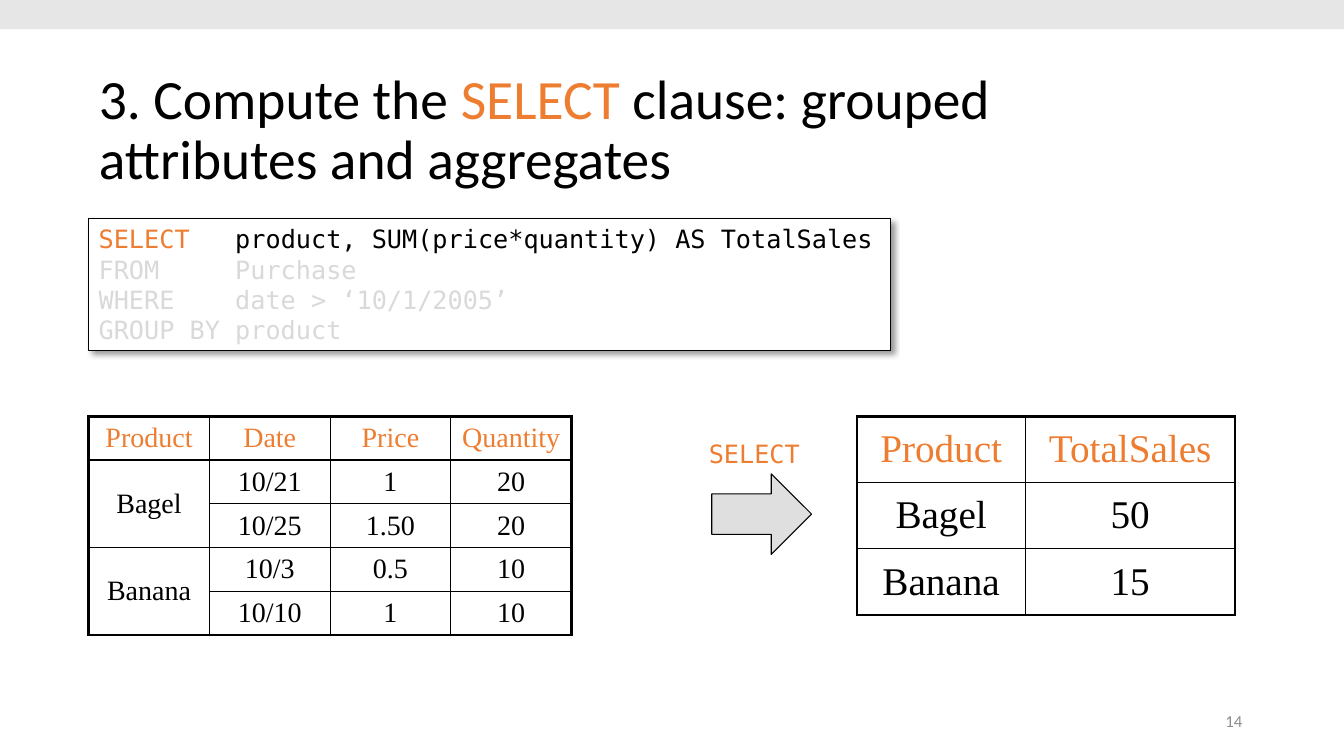
import dataclasses

import pptx
import pptx.dml.color
import pptx.enum.shapes
import pptx.enum.text
import pptx.oxml
import pptx.oxml.ns
import pptx.util

ALIGN = pptx.enum.text.PP_ALIGN
ANCHOR = pptx.enum.text.MSO_ANCHOR
SHAPE = pptx.enum.shapes.MSO_SHAPE
NAMESPACE = pptx.oxml.ns.nsdecls("a")

SLIDE_WIDTH = pptx.util.Inches(13.33)
SLIDE_HEIGHT = pptx.util.Inches(7.5)
BLACK, ORANGE, FADED = "000000", "ED7D31", "D9D9D9"
SANS, MONO, SERIF = "Calibri", "DejaVu Sans Mono", "Times New Roman"
LEFT_MARGIN, TABLE_TOP = 6.6, 55.07


@dataclasses.dataclass(frozen=True)
class Area:
    """Rectangle in percent of the slide's width and height."""
    left: float
    top: float
    width: float
    height: float

    def lengths(self) -> tuple[int, int, int, int]:
        """Return left, top, width and height in EMU."""
        return (int(SLIDE_WIDTH * self.left / 100), int(SLIDE_HEIGHT * self.top / 100),
                int(SLIDE_WIDTH * self.width / 100), int(SLIDE_HEIGHT * self.height / 100))


@dataclasses.dataclass(frozen=True)
class Relation:
    """Table of query rows; an empty cell continues the one above it."""
    area: Area
    size: float
    column_shares: tuple[float, ...]
    rows: tuple[tuple[str, ...], ...]


GROUPED = Relation(Area(LEFT_MARGIN, TABLE_TOP, 35.93, 28.93), 20, (0.25,) * 4, (
    ("Product", "Date", "Price", "Quantity"),
    ("Bagel", "10/21", "1", "20"),
    ("", "10/25", "1.50", "20"),
    ("Banana", "10/3", "0.5", "10"),
    ("", "10/10", "1", "10"),
))
RESULT = Relation(Area(63.77, TABLE_TOP, 28.13, 26.27), 28, (0.445, 0.555), (
    ("Product", "TotalSales"),
    ("Bagel", "50"),
    ("Banana", "15"),
))
TITLE = ((("3. Compute the ", BLACK), ("SELECT", ORANGE),
          (" clause: grouped attributes and aggregates", BLACK)),)
QUERY = (
    (("SELECT   ", ORANGE), ("product, SUM(price*quantity) AS TotalSales", BLACK)),
    (("FROM     Purchase", FADED),),
    (("WHERE    date > ‘10/1/2005’", FADED),),
    (("GROUP BY product", FADED),),
)


def rgb(value: str) -> pptx.dml.color.RGBColor:
    """Turn a hex string into a colour."""
    return pptx.dml.color.RGBColor.from_string(value)


def write(frame, lines, *, size: float, font: str, align=ALIGN.LEFT,
          anchor=ANCHOR.TOP, wrap: bool = True, spacing: float = 1.0) -> None:
    """Fill a text frame with lines of (text, colour) runs."""
    frame.word_wrap = wrap
    frame.vertical_anchor = anchor
    for index, line in enumerate(lines):
        paragraph = frame.add_paragraph() if index else frame.paragraphs[0]
        paragraph.alignment = align
        paragraph.line_spacing = spacing
        for text, colour in line:
            run = paragraph.add_run()
            run.text = text
            run.font.size = pptx.util.Pt(size)
            run.font.name = font
            run.font.bold = False
            run.font.color.rgb = rgb(colour)


def add_block(slide, kind, area: Area, fill: str, outlined: bool = True):
    """Add a filled preset shape with an optional thin black outline."""
    block = slide.shapes.add_shape(kind, *area.lengths())
    block.shadow.inherit = False
    block.fill.solid()
    block.fill.fore_color.rgb = rgb(fill)
    if outlined:
        block.line.color.rgb = rgb(BLACK)
        block.line.width = pptx.util.Pt(0.75)
    else:
        block.line.fill.background()
    return block


def add_query(slide) -> None:
    """Add the query in its shadowed panel."""
    panel = add_block(slide, SHAPE.RECTANGLE, Area(LEFT_MARGIN, 28.93, 59.64, 17.47), "FFFFFF")
    effects = panel.element.spPr.find(pptx.oxml.ns.qn("a:effectLst"))
    effects.append(pptx.oxml.parse_xml(
        f'<a:outerShdw {NAMESPACE} blurRad="50800" dist="38100" dir="2700000" algn="tl" '
        f'rotWithShape="0"><a:srgbClr val="{BLACK}"><a:alpha val="40000"/></a:srgbClr>'
        '</a:outerShdw>'))
    write(panel.text_frame, QUERY, size=18, font=MONO, wrap=False)


def add_arrow(slide) -> None:
    """Add the half-transparent arrow and its label."""
    arrow = add_block(slide, SHAPE.RIGHT_ARROW, Area(52.96, 62.67, 7.43, 10.67), "C0C0C0")
    arrow.adjustments[0] = 0.5
    arrow.adjustments[1] = 0.5
    colour = arrow.element.spPr.find(
        f"{pptx.oxml.ns.qn('a:solidFill')}/{pptx.oxml.ns.qn('a:srgbClr')}")
    colour.append(pptx.oxml.parse_xml(f'<a:alpha {NAMESPACE} val="50000"/>'))
    label = slide.shapes.add_textbox(*Area(52, 57.33, 8.33, 5.33).lengths())
    write(label.text_frame, ((("SELECT", ORANGE),),), size=18, font=MONO, wrap=False)


def set_borders(cell, outer_sides: dict[str, bool]) -> None:
    """Draw thick lines on outer sides of a cell and thin lines on the others."""
    properties = cell._tc.get_or_add_tcPr()
    for index, (side, outer) in enumerate(outer_sides.items()):
        width = pptx.util.Pt(2.25 if outer else 1)
        properties.insert(index, pptx.oxml.parse_xml(
            f'<a:ln{side} {NAMESPACE} w="{int(width)}"><a:solidFill>'
            f'<a:srgbClr val="{BLACK}"/></a:solidFill></a:ln{side}>'))


def add_relation(slide, relation: Relation) -> None:
    """Add a relation as a ruled table."""
    row_count, column_count = len(relation.rows), len(relation.column_shares)
    left, top, width, height = relation.area.lengths()
    table = slide.shapes.add_table(row_count, column_count, left, top, width, height).table
    table.horz_banding = False
    for column, share in zip(table.columns, relation.column_shares):
        column.width = int(width * share)
    for row_index, row in enumerate(relation.rows):
        for column_index, text in enumerate(row):
            if not text:
                table.cell(row_index - 1, column_index).merge(table.cell(row_index, column_index))
    for row_index, row in enumerate(relation.rows):
        for column_index, text in enumerate(row):
            cell = table.cell(row_index, column_index)
            cell.fill.background()
            if cell.is_spanned:
                continue
            row_span = cell.span_height if cell.is_merge_origin else 1
            set_borders(cell, {
                "L": column_index == 0, "R": column_index == column_count - 1,
                "T": row_index == 0, "B": row_index + row_span == row_count})
            write(cell.text_frame, (((text, BLACK if row_index else ORANGE),),),
                  size=relation.size, font=SERIF, align=ALIGN.CENTER)
            cell.vertical_anchor = ANCHOR.MIDDLE


def main() -> None:
    """Build the slide and save it."""
    deck = pptx.Presentation()
    deck.slide_width, deck.slide_height = SLIDE_WIDTH, SLIDE_HEIGHT
    slide = deck.slides.add_slide(deck.slide_layouts.get_by_name("Title Only"))

    heading = slide.shapes.title
    heading.left, heading.top, heading.width, heading.height = Area(
        LEFT_MARGIN, 9.07, 82.45, 16.67).lengths()
    heading.text_frame.auto_size = pptx.enum.text.MSO_AUTO_SIZE.NONE
    write(heading.text_frame, TITLE, size=39.6, font=SANS, anchor=ANCHOR.MIDDLE, spacing=0.9)

    page_number = slide.shapes.add_textbox(*Area(70.67, 92.67, 22.5, 5.33).lengths())
    write(page_number.text_frame, ((("14", "8C8C8C"),),), size=12, font=SANS,
          align=ALIGN.RIGHT, anchor=ANCHOR.MIDDLE)

    add_arrow(slide)
    add_query(slide)
    add_relation(slide, RESULT)
    add_relation(slide, GROUPED)
    add_block(slide, SHAPE.RECTANGLE, Area(0, 0, 100, 3.87), "E7E6E6", outlined=False)
    deck.save("out.pptx")


if __name__ == "__main__":
    main()
